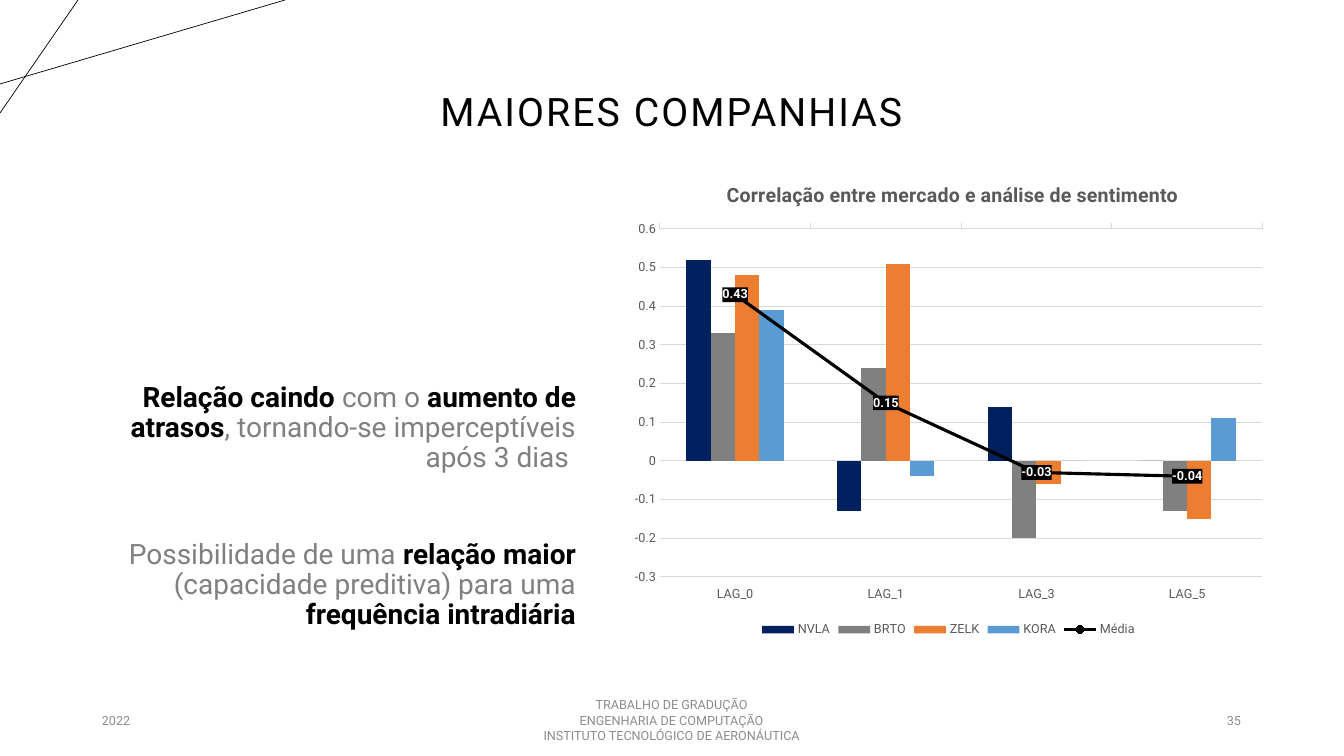
from copy import deepcopy
from lxml.etree import SubElement
from pptx import Presentation
from pptx.chart.axis import CategoryAxis, ValueAxis
from pptx.chart.data import CategoryChartData
from pptx.dml.color import RGBColor
from pptx.enum.chart import (XL_AXIS_CROSSES, XL_CHART_TYPE, XL_LABEL_POSITION,
                             XL_LEGEND_POSITION, XL_MARKER_STYLE,
                             XL_TICK_LABEL_POSITION, XL_TICK_MARK)
from pptx.enum.shapes import MSO_CONNECTOR
from pptx.enum.text import MSO_ANCHOR, PP_ALIGN
from pptx.oxml import parse_xml
from pptx.oxml.ns import qn
from pptx.util import Emu, Pt

PX = 914400 / 100.8
FONT = "Roboto"
COLORS = {name: RGBColor.from_string(value) for name, value in {
    "black": "000000", "white": "FFFFFF", "gray": "808080", "footer": "8C8C8C",
    "label": "595959", "grid": "D9D9D9", "navy": "002060",
    "orange": "ED7D31", "blue": "5B9BD5"}.items()}


def style_font(font, size, color, bold=False):
    for name, value in {"name": FONT, "size": Pt(size), "bold": bold}.items():
        setattr(font, name, value)
    font.color.rgb = COLORS[color]


def place(parent, **fractions):
    layout = parent.find(qn("c:layout"))
    if layout is None:
        layout = SubElement(parent, qn("c:layout"))
    manual = SubElement(layout, qn("c:manualLayout"))
    for tag, value in fractions.items():
        SubElement(manual, qn("c:" + tag)).set("val", str(value))
    return layout


deck = Presentation()
deck.slide_width = Emu(round(1344 * PX))
deck.slide_height = Emu(round(756 * PX))
page = deck.slides.add_slide(deck.slide_layouts[6])

for ends in [(0, 84, 285, 0), (78, 0, 0, 113)]:
    line = page.shapes.add_connector(
        MSO_CONNECTOR.STRAIGHT, *[Emu(round(value * PX)) for value in ends])
    line.line.color.rgb = COLORS["black"]
    line.line.width = Pt(0.5)
    SubElement(line._element.spPr, qn("a:effectLst"))

LEFT, CENTER, RIGHT = PP_ALIGN.LEFT, PP_ALIGN.CENTER, PP_ALIGN.RIGHT
MIDDLE, TOP = MSO_ANCHOR.MIDDLE, MSO_ANCHOR.TOP
texts = [
    ((92, 41, 1159, 146), MIDDLE, CENTER, 28, 0.9, 1.5,
     [[("MAIORES COMPANHIAS", "black", False)]]),
    ((92, 700, 302, 40), MIDDLE, LEFT, 9, 1, 0, [[("2022", "footer", False)]]),
    ((445, 700, 453, 40), MIDDLE, CENTER, 9, 1, 0,
     [[(row, "footer", False)] for row in (
         "TRABALHO DE GRADUÇÃO", "ENGENHARIA DE COMPUTAÇÃO",
         "INSTITUTO TECNOLÓGICO DE AERONÁUTICA")]),
    ((949, 700, 302, 40), MIDDLE, RIGHT, 9, 1, 0, [[("35", "footer", False)]]),
    ((92, 378, 494, 106), TOP, RIGHT, 20, 0.9, 0,
     [[("Relação caindo", "black", True), (" com o ", "gray", False),
       ("aumento de atrasos", "black", True),
       (", tornando-se imperceptíveis após 3 dias ", "gray", False)]]),
    ((92, 535, 494, 106), TOP, RIGHT, 20, 0.9, 0,
     [[("Possibilidade de uma ", "gray", False), ("relação maior ", "black", True),
       ("(capacidade preditiva) para uma ", "gray", False),
       ("frequência intradiária", "black", True)]]),
]
for bounds, anchor, align, size, leading, tracking, rows in texts:
    box = page.shapes.add_textbox(*[Emu(round(value * PX)) for value in bounds])
    frame = box.text_frame
    frame.word_wrap = True
    frame.vertical_anchor = anchor
    for index, row in enumerate(rows):
        para = frame.paragraphs[0] if index == 0 else frame.add_paragraph()
        para.alignment = align
        para.line_spacing = leading
        for text, color, bold in row:
            span = para.add_run()
            span.text = text
            style_font(span.font, size, color, bold)
            if tracking:
                span._r.get_or_add_rPr().set("spc", str(round(tracking * 100)))

series_rows = [
    ("NVLA", (0.52, -0.13, 0.14, 0), "navy"),
    ("BRTO", (0.33, 0.24, -0.2, -0.13), "gray"),
    ("ZELK", (0.48, 0.51, -0.06, -0.15), "orange"),
    ("KORA", (0.39, -0.04, 0, 0.11), "blue"),
    ("Média", (0.43, 0.15, -0.03, -0.04), "black"),
]
data = CategoryChartData()
data.categories = ["LAG_0", "LAG_1", "LAG_3", "LAG_5"]
for name, values, color in series_rows:
    data.add_series(name, values)
chart = page.shapes.add_chart(
    XL_CHART_TYPE.COLUMN_CLUSTERED,
    *[Emu(round(value * PX)) for value in (622, 163, 653, 478)], data).chart
style_font(chart.font, 9, "label")

chart.has_title = True
title = chart.chart_title
title.text_frame.text = "Correlação entre mercado e análise de sentimento"
style_font(title.text_frame.paragraphs[0].runs[0].font, 14, "label", True)
title.include_in_layout = False
title_layout = place(title._element, xMode="edge", yMode="edge", x=0.155, y=0.03)
title._element.find(qn("c:tx")).addnext(title_layout)

chart.has_legend = True
chart.legend.position = XL_LEGEND_POSITION.BOTTOM
chart.legend.include_in_layout = False
style_font(chart.legend.font, 9, "label")

category_axis, value_axis = chart.category_axis, chart.value_axis
bars = chart.plots[0]
bar_chart = bars._element
plot_area = bar_chart.getparent()
top_element, right_element = deepcopy(category_axis._element), deepcopy(value_axis._element)
value_axis._element.addnext(right_element)
right_element.addnext(top_element)
for element, own, other in [(top_element, "101", "102"), (right_element, "102", "101")]:
    element.find(qn("c:axId")).set("val", own)
    element.find(qn("c:crossAx")).set("val", other)
top_axis, right_axis = CategoryAxis(top_element), ValueAxis(right_element)

for axis, settings in [
    (category_axis, {"major_tick_mark": XL_TICK_MARK.NONE,
                     "tick_label_position": XL_TICK_LABEL_POSITION.LOW}),
    (value_axis, {"major_tick_mark": XL_TICK_MARK.NONE, "major_unit": 0.1}),
    (top_axis, {"major_tick_mark": XL_TICK_MARK.OUTSIDE,
                "tick_label_position": XL_TICK_LABEL_POSITION.NONE,
                "crosses": XL_AXIS_CROSSES.MAXIMUM}),
    (right_axis, {"has_major_gridlines": False, "visible": False,
                  "minimum_scale": -0.3, "maximum_scale": 0.6,
                  "crosses": XL_AXIS_CROSSES.MAXIMUM}),
]:
    for name, value in settings.items():
        setattr(axis, name, value)
    style_font(axis.tick_labels.font, 9, "label")
value_axis.format.line.fill.background()
for line in (category_axis.format.line, top_axis.format.line,
             value_axis.major_gridlines.format.line):
    line.color.rgb = COLORS["grid"]
    line.width = Pt(0.75)

bars.gap_width = 219
bars.overlap = 0
bars.vary_by_categories = False
for series, (name, values, color) in zip(bars.series, series_rows):
    series.invert_if_negative = False
    series.format.fill.solid()
    series.format.fill.fore_color.rgb = COLORS[color]

average = bar_chart.findall(qn("c:ser"))[-1]
for tag in ("c:invertIfNegative", "c:spPr"):
    average.remove(average.find(qn(tag)))
line_chart = parse_xml(
    '<c:lineChart xmlns:c="http://schemas.openxmlformats.org/drawingml/2006/chart">'
    '<c:grouping val="standard"/><c:varyColors val="0"/></c:lineChart>')
line_chart.append(average)
for tag, value in [("marker", "1"), ("axId", "101"), ("axId", "102")]:
    SubElement(line_chart, qn("c:" + tag)).set("val", value)
bar_chart.addnext(line_chart)
plot_layout = place(plot_area, layoutTarget="inner", xMode="edge", yMode="edge",
                    x=0.058, y=0.138, w=0.923, h=0.728)
plot_area.insert(0, plot_layout)

trend = chart.plots[1].series[0]
trend.smooth = False
trend.format.line.color.rgb = COLORS["black"]
trend.format.line.width = Pt(2.25)
trend.marker.style = XL_MARKER_STYLE.CIRCLE
trend.marker.size = 5
trend.marker.format.fill.solid()
trend.marker.format.fill.fore_color.rgb = COLORS["black"]
trend.marker.format.line.color.rgb = COLORS["black"]
labels = trend.data_labels
for name, value in {"show_value": True, "position": XL_LABEL_POSITION.CENTER,
                    "number_format": "0.00", "number_format_is_linked": False}.items():
    setattr(labels, name, value)
style_font(labels.font, 9, "white", True)
label_shape = parse_xml(
    '<c:spPr xmlns:c="http://schemas.openxmlformats.org/drawingml/2006/chart" '
    'xmlns:a="http://schemas.openxmlformats.org/drawingml/2006/main">'
    f'<a:solidFill><a:srgbClr val="{COLORS["black"]}"/></a:solidFill></c:spPr>')
labels._element.find(qn("c:txPr")).addprevious(label_shape)

deck.save("out.pptx")
